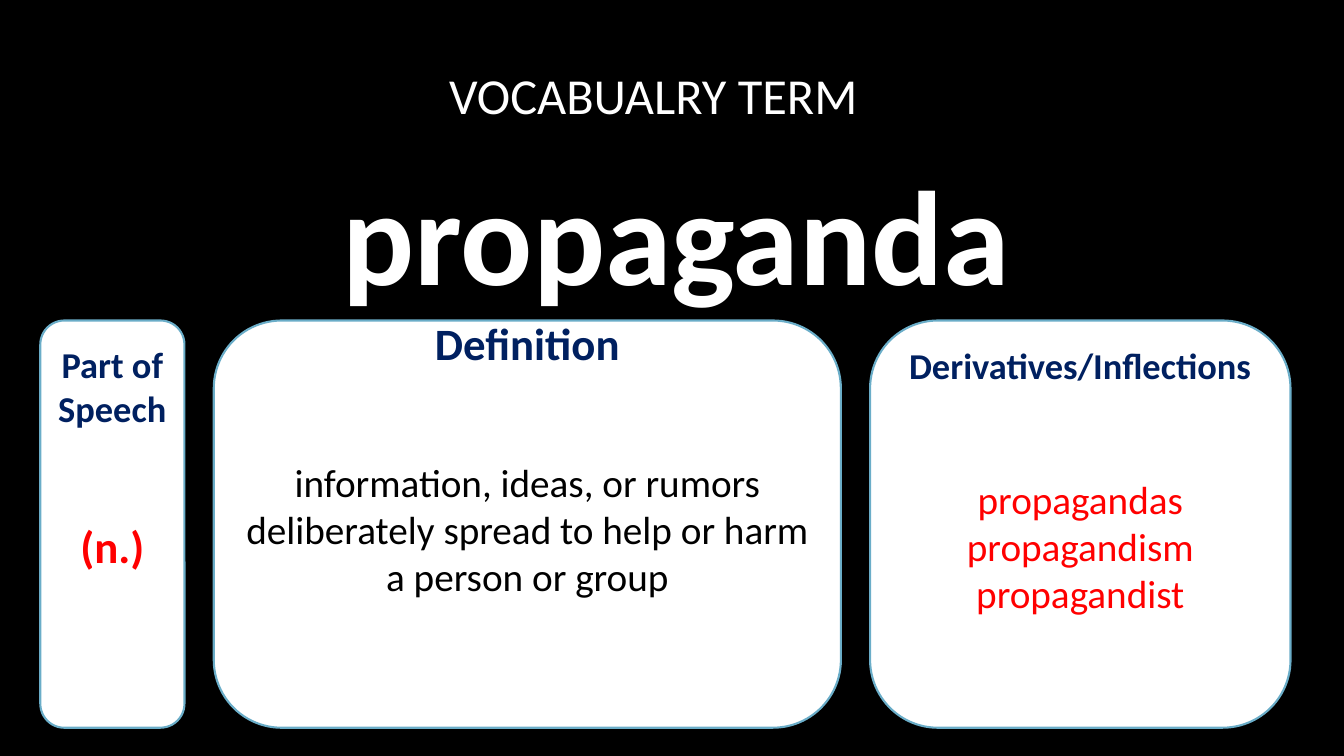
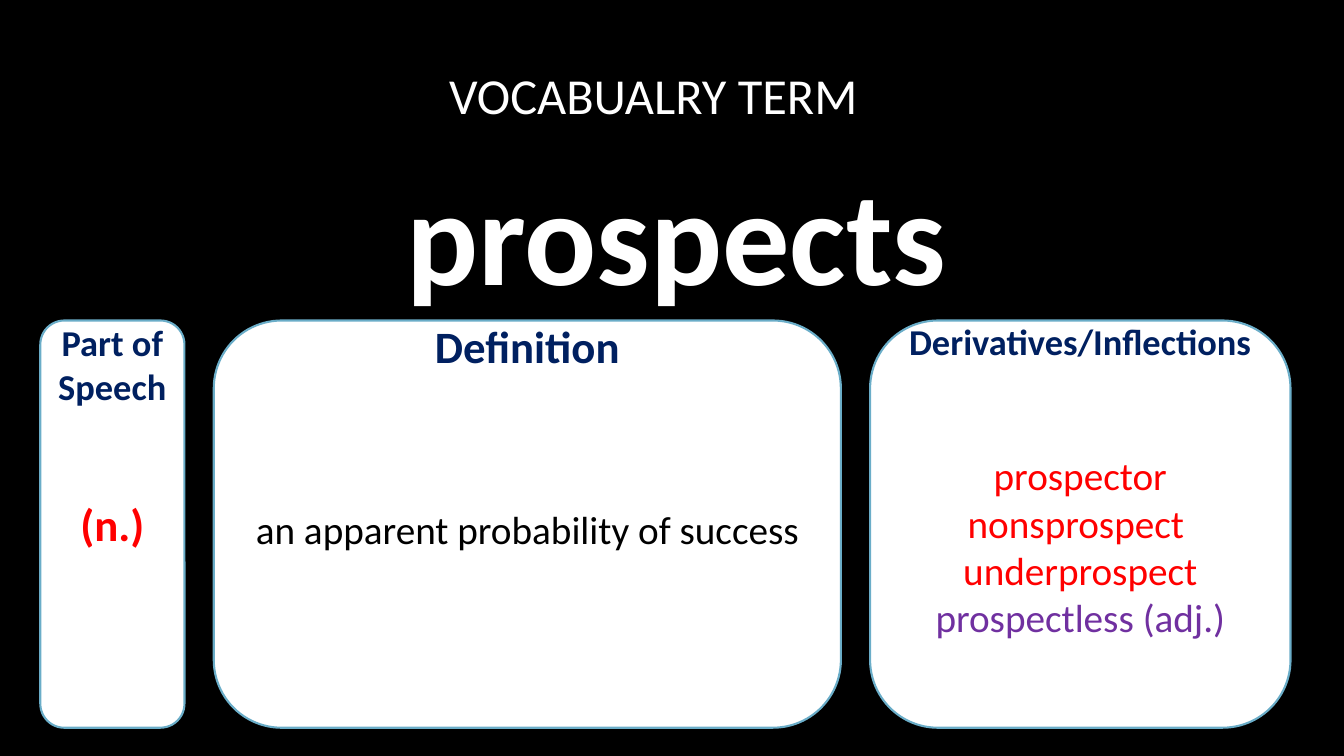
from pptx import Presentation
from pptx.dml.color import RGBColor
from pptx.enum.shapes import MSO_SHAPE
from pptx.enum.text import MSO_ANCHOR, PP_ALIGN
from pptx.util import Inches, Pt

ROUNDED = MSO_SHAPE.ROUNDED_RECTANGLE
MIDDLE = MSO_ANCHOR.MIDDLE
CENTER = PP_ALIGN.CENTER


class Theme:
    font = "Calibri"
    black = RGBColor.from_string("000000")
    white = RGBColor.from_string("FFFFFF")
    border = RGBColor.from_string("6AADC8")
    navy = RGBColor.from_string("002060")
    red = RGBColor.from_string("FF0000")
    purple = RGBColor.from_string("7030A0")
    banner_size = 36
    term_size = 96
    label_size = 26
    large_size = 32
    answer_size = 28
    row = 31.7  # height of one spacing row in points


# Cards: name -> left, width, heading, heading size, answer size, answer bold
CARD_TOP, CARD_HEIGHT = 3.18, 4.04
INSET = 0.05
CARDS = {
    "part": (0.4, 1.43, "Part of Speech", Theme.label_size, Theme.large_size, True),
    "derivatives": (8.63, 4.17, "Derivatives/Inflections", Theme.label_size,
                    Theme.answer_size, False),
    "definition": (2.12, 6.22, "Definition", Theme.large_size,
                   Theme.answer_size, False),
}

# Terms: each card holds answers with colours, rows above them and rows below
TERMS = [
    ("propaganda", {
        "part": ([("(n.)", Theme.red)], 2, 3),
        "derivatives": ([("propagandas", Theme.red), ("propagandism", Theme.red),
                         ("propagandist", Theme.red)], 2, 2),
        "definition": ([("information, ideas, or rumors deliberately spread "
                         "to help or harm a person or group", Theme.black)], 2, 3),
    }),
    ("prospects", {
        "part": ([("(n.)", Theme.red)], 2, 4),
        "derivatives": ([("prospector", Theme.red), ("nonsprospect ", Theme.red),
                         ("underprospect", Theme.red),
                         ("prospectless (adj.)", Theme.purple)], 2, 2),
        "definition": ([("an apparent probability of success", Theme.black)], 3, 4),
    }),
]


def write(paragraph, text, size, color, bold=False):
    paragraph.text = text
    paragraph.alignment = CENTER
    paragraph.font.name = Theme.font
    paragraph.font.size = Pt(size)
    paragraph.font.bold = bold
    paragraph.font.color.rgb = color


def add_heading(slide, left, top, height, text, size, bold):
    box = slide.shapes.add_textbox(Inches(left), Inches(top),
                                   Inches(11.08), Inches(height))
    frame = box.text_frame
    frame.word_wrap = True
    frame.vertical_anchor = MIDDLE
    write(frame.paragraphs[0], text, size, Theme.white, bold)


presentation = Presentation()
presentation.slide_width = Inches(13.33)
presentation.slide_height = Inches(7.5)
blank_layout = presentation.slide_layouts[6]

# Shared black background
background = presentation.slide_master.background.fill
background.solid()
background.fore_color.rgb = Theme.black

for term, contents in TERMS:
    slide = presentation.slides.add_slide(blank_layout)

    # Banner and term
    add_heading(slide, 0.94, 0.46, 0.96, "VOCABUALRY TERM", Theme.banner_size, False)
    add_heading(slide, 1.17, 1.42, 1.76, term, Theme.term_size, True)

    # Cards
    for name, (left, width, heading, heading_size, size, bold) in CARDS.items():
        answers, rows_above, rows_below = contents[name]
        card = slide.shapes.add_shape(ROUNDED, Inches(left), Inches(CARD_TOP),
                                      Inches(width), Inches(CARD_HEIGHT))
        card.shadow.inherit = False
        card.fill.solid()
        card.fill.fore_color.rgb = Theme.white
        card.line.color.rgb = Theme.border
        card.line.width = Pt(1.5)

        frame = card.text_frame
        frame.word_wrap = True
        frame.vertical_anchor = MIDDLE
        frame.margin_top = Inches(INSET)
        frame.margin_bottom = Inches(INSET) + Pt(rows_below * Theme.row)
        write(frame.paragraphs[0], heading, heading_size, Theme.navy, True)
        for index, (answer, color) in enumerate(answers):
            paragraph = frame.add_paragraph()
            write(paragraph, answer, size, color, bold)
            if index == 0:
                paragraph.space_before = Pt(rows_above * Theme.row)

presentation.save("out.pptx")
